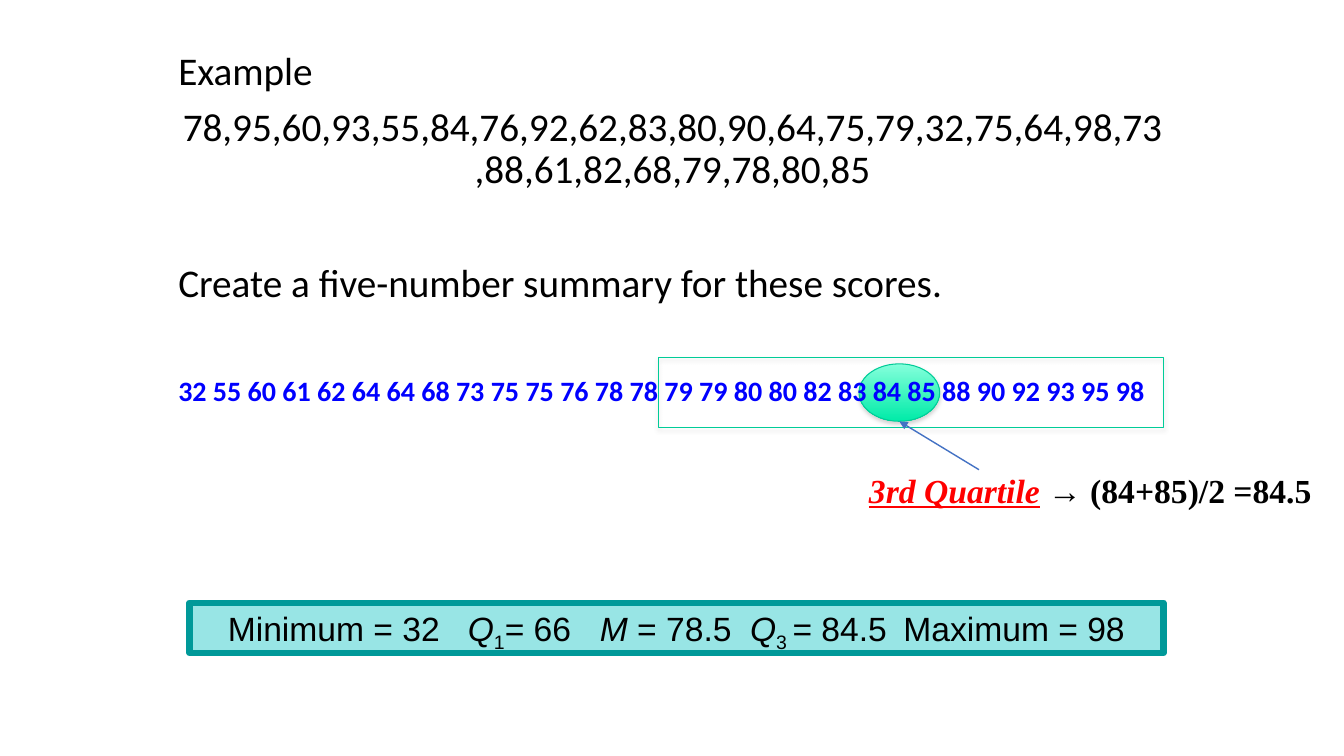
from dataclasses import dataclass

from lxml.etree import SubElement
from pptx import Presentation
from pptx.dml.color import RGBColor
from pptx.enum.shapes import MSO_CONNECTOR, MSO_SHAPE
from pptx.enum.text import MSO_ANCHOR, PP_ALIGN
from pptx.oxml.ns import qn
from pptx.util import Inches, Pt


@dataclass(frozen=True)
class Theme:
    black: str = "000000"
    sorted_blue: str = "0000FF"
    quartile_red: str = "FF0000"
    outline_green: str = "00CC98"
    light_green: str = "85FFDB"
    strong_green: str = "00EBA8"
    summary_fill: str = "33CCCC"
    summary_line: str = "009999"
    arrow_blue: str = "4472C4"
    shadow_grey: str = "808080"
    body_size: int = 28
    label_size: int = 24
    sorted_size: int = 20
    body_font: str = "Calibri"
    summary_font: str = "Arial"
    quartile_font: str = "Times New Roman"


THEME = Theme()

SCORES = [78, 95, 60, 93, 55, 84, 76, 92, 62, 83, 80, 90, 64, 75, 79, 32, 75, 64,
          98, 73, 88, 61, 82, 68, 79, 78, 80, 85]

# Each statistic: symbol in italics, subscript, remaining text
SUMMARY = [
    ("", "", "Minimum = 32"),
    ("Q", "1", "= 66"),
    ("M ", "", "= 78.5"),
    ("Q", "3 ", "= 84.5"),
    ("", "", "Maximum = 98"),
]
SUMMARY_TABS = [2.38, 3.69, 5.18, 6.7]


def color(value):
    return RGBColor.from_string(value)


def set_font(font, name, size, value, bold=None):
    font.name, font.size, font.bold = name, Pt(size), bold
    font.color.rgb = color(value)


def add_run(para, text, italic=None):
    span = para.add_run()
    span.text = text
    span.font.italic = italic
    return span


def add_text_box(slide, left, top, width, height):
    frame = slide.shapes.add_textbox(
        Inches(left), Inches(top), Inches(width), Inches(height)).text_frame
    frame.word_wrap = True
    return frame


def add_outlined_shape(slide, kind, bounds, line, weight):
    shape = slide.shapes.add_shape(kind, *(Inches(length) for length in bounds))
    shape.shadow.inherit = False
    shape.fill.background()
    shape.line.color.rgb = color(line)
    shape.line.width = Pt(weight)
    return shape


def add_soft_shadow(shape):
    effects = shape._element.spPr.find(qn("a:effectLst"))
    shadow = SubElement(effects, qn("a:outerShdw"), blurRad=str(Pt(3.1)),
                        dist=str(Pt(1.8)), dir="5400000", rotWithShape="0")
    tint = SubElement(shadow, qn("a:srgbClr"), val=THEME.shadow_grey)
    SubElement(tint, qn("a:alpha"), val="35000")


def add_quartile_ellipse(slide):
    ellipse = add_outlined_shape(slide, MSO_SHAPE.OVAL, (8.52, 3.61, 0.8, 0.57),
                                 THEME.outline_green, 0.75)
    ellipse.fill.gradient()
    ellipse.fill.gradient_angle = 270
    for stop, value in zip(ellipse.fill.gradient_stops,
                           (THEME.light_green, THEME.strong_green)):
        stop.color.rgb = color(value)
    add_soft_shadow(ellipse)


def add_example(slide):
    frame = add_text_box(slide, 1.67, 0.46, 10, 5.59)
    listed = ",".join(map(str, SCORES))
    ranked = " ".join(map(str, sorted(SCORES)))
    normal = (THEME.body_size, THEME.black, None)
    lines = [
        ("Example", PP_ALIGN.LEFT, 0, normal),
        (listed, PP_ALIGN.CENTER, 10, normal),
        ("Create a five-number summary for these scores.", PP_ALIGN.LEFT, 50.8, normal),
        (ranked, PP_ALIGN.LEFT, 50.8, (THEME.sorted_size, THEME.sorted_blue, True)),
    ]
    for index, (text, alignment, space, style) in enumerate(lines):
        para = frame.add_paragraph() if index else frame.paragraphs[0]
        para.text = text
        para.alignment = alignment
        para.line_spacing = 0.9
        para.space_before = Pt(space)
        set_font(para.font, THEME.body_font, *style)


def add_upper_half_frame(slide):
    frame = add_outlined_shape(slide, MSO_SHAPE.RECTANGLE, (6.53, 3.55, 5.01, 0.69),
                               THEME.outline_green, 0.75)
    add_soft_shadow(frame)


def add_summary(slide):
    """Draw the translucent bar with the five statistics on tab stops."""
    bar = add_outlined_shape(slide, MSO_SHAPE.RECTANGLE, (1.88, 5.98, 9.66, 0.5),
                             THEME.summary_line, 4.5)
    bar.fill.solid()
    bar.fill.fore_color.rgb = color(THEME.summary_fill)
    tint = bar._element.spPr.find(qn("a:solidFill"))[0]
    SubElement(tint, qn("a:alpha"), val="50000")

    frame = bar.text_frame
    frame.margin_left = Inches(0.38)
    frame.vertical_anchor = MSO_ANCHOR.TOP
    para = frame.paragraphs[0]
    para.alignment = PP_ALIGN.LEFT
    tabs = SubElement(para._p.get_or_add_pPr(), qn("a:tabLst"))
    for position in SUMMARY_TABS:
        SubElement(tabs, qn("a:tab"), pos=str(Inches(position)), algn="l")
    set_font(para.font, THEME.summary_font, THEME.label_size, THEME.black)

    for index, (symbol, subscript, rest) in enumerate(SUMMARY):
        if index:
            add_run(para, "\t")
        if symbol:
            add_run(para, symbol, italic=True)
        if subscript:
            span = add_run(para, subscript)
            span.font._element.set("baseline", "-25000")
        add_run(para, rest)


def add_quartile_label(slide):
    para = add_text_box(slide, 8.52, 4.61, 8.39, 0.91).paragraphs[0]
    set_font(para.font, THEME.quartile_font, THEME.label_size, THEME.black, True)
    name = add_run(para, "3rd Quartile", italic=True)
    name.font.underline = True
    name.font.color.rgb = color(THEME.quartile_red)
    add_run(para, " ")
    add_run(para, "→ ", italic=True).font.bold = False
    add_run(para, "(84+85)/2 =84.5")


def add_arrow(slide, start, end):
    arrow = slide.shapes.add_connector(
        MSO_CONNECTOR.STRAIGHT, *(Inches(length) for length in start + end))
    arrow.line.color.rgb = color(THEME.arrow_blue)
    arrow.line.width = Pt(1)
    SubElement(arrow.line._get_or_add_ln(), qn("a:tailEnd"), type="triangle")
    SubElement(arrow._element.spPr, qn("a:effectLst"))


def main():
    deck = Presentation()
    deck.slide_width, deck.slide_height = Inches(13.33), Inches(7.5)
    slide = deck.slides.add_slide(deck.slide_layouts[6])
    add_quartile_ellipse(slide)
    add_example(slide)
    add_upper_half_frame(slide)
    add_summary(slide)
    add_quartile_label(slide)
    add_arrow(slide, (9.71, 4.66), (8.92, 4.18))
    deck.save("out.pptx")


if __name__ == "__main__":
    main()
